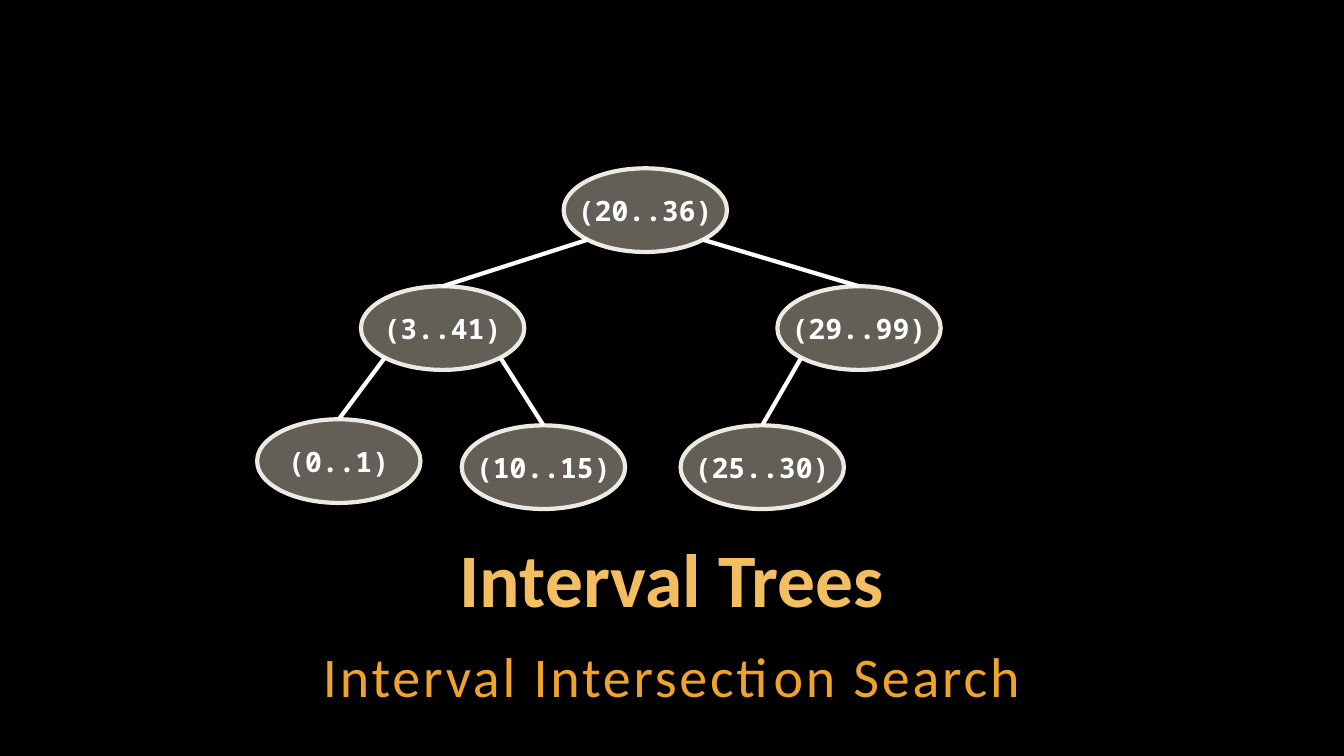
from dataclasses import dataclass
from math import sqrt

from lxml.etree import SubElement
from pptx import Presentation
from pptx.dml.color import RGBColor
from pptx.enum.shapes import MSO_CONNECTOR, MSO_SHAPE
from pptx.enum.text import MSO_ANCHOR, MSO_AUTO_SIZE, PP_ALIGN
from pptx.oxml.ns import qn
from pptx.util import Emu, Pt

EMU_PER_PX = 9144  # 100 px to the inch
NODE_WIDTH, NODE_HEIGHT = 162, 83
TOP_SITE = 0


@dataclass(frozen=True)
class Theme:
    background: RGBColor = RGBColor.from_string("000000")
    title: RGBColor = RGBColor.from_string("F3BE60")
    subtitle: RGBColor = RGBColor.from_string("F0A22E")
    node_fill: RGBColor = RGBColor.from_string("C7BFAC")
    node_line: RGBColor = RGBColor.from_string("ECEAE3")
    white: RGBColor = RGBColor.from_string("FFFFFF")
    node_opacity: int = 50
    heading_font: str = "Calibri"
    node_font: str = "Noto Sans Mono"
    title_size: int = 54
    subtitle_size: int = 40
    node_size: int = 20
    line_width: int = 3


THEME = Theme()

# Interval: left, top, parent interval, side of the parent (-1 left, 1 right)
NODES = {
    "(20..36)": (559, 167, None, 0),
    "(29..99)": (771, 284, "(20..36)", 1),
    "(3..41)": (358, 284, "(20..36)", -1),
    "(0..1)": (255, 416, "(3..41)", -1),
    "(10..15)": (458, 422, "(3..41)", 1),
    "(25..30)": (675, 422, "(29..99)", -1),
}


def px(length):
    return Emu(length * EMU_PER_PX)


def style_font(font, name, size, color, bold=False):
    font.name = name
    font.size = Pt(size)
    font.color.rgb = color
    font.bold = bold


def fill_placeholder(box, text, top, height, size, color, bold=False):
    box.left, box.top, box.width, box.height = map(px, (100, top, 1133, height))
    frame = box.text_frame
    frame.text = text
    frame.word_wrap = True
    frame.auto_size = MSO_AUTO_SIZE.NONE
    frame.margin_left = frame.margin_right = px(4)
    frame.margin_top = frame.margin_bottom = px(4)
    para = frame.paragraphs[0]
    para.alignment = PP_ALIGN.CENTER
    para.space_before = Pt(0)
    style_font(para.font, THEME.heading_font, size, color, bold)
    return frame


def add_headings(page):
    title = fill_placeholder(page.shapes.title, "Interval Trees", 533, 90,
                             THEME.title_size, THEME.title, bold=True)
    title.vertical_anchor = MSO_ANCHOR.BOTTOM
    title.paragraphs[0].line_spacing = 0.9

    subtitle = fill_placeholder(page.placeholders[1], "Interval Intersection Search",
                                629, 79, THEME.subtitle_size, THEME.subtitle)
    subtitle.vertical_anchor = MSO_ANCHOR.TOP
    para = subtitle.paragraphs[0]
    para.line_spacing = 1.05
    para.space_after = Pt(6)
    para.runs[0].font._element.set("spc", "200")


def add_node(page, interval, left, top):
    node = page.shapes.add_shape(MSO_SHAPE.OVAL, px(left), px(top),
                                 px(NODE_WIDTH), px(NODE_HEIGHT))
    node.shadow.inherit = False
    node.fill.solid()
    node.fill.fore_color.rgb = THEME.node_fill
    color = node._element.spPr.find(qn("a:solidFill"))[0]
    SubElement(color, qn("a:alpha"), val=str(THEME.node_opacity * 1000))
    node.line.color.rgb = THEME.node_line
    node.line.width = Pt(THEME.line_width)
    frame = node.text_frame
    frame.text = interval
    frame.word_wrap = False
    frame.vertical_anchor = MSO_ANCHOR.MIDDLE
    para = frame.paragraphs[0]
    para.alignment = PP_ALIGN.CENTER
    style_font(para.font, THEME.node_font, THEME.node_size, THEME.white, bold=True)
    return node


def add_edge(page, child, parent, side):
    """Join the child's top to the lower diagonal point of the parent's oval."""
    reach = 1 / sqrt(2)
    end_x = Emu(round(parent.left + parent.width / 2 * (1 + side * reach)))
    end_y = Emu(round(parent.top + parent.height / 2 * (1 + reach)))
    edge = page.shapes.add_connector(MSO_CONNECTOR.STRAIGHT,
                                     child.left, child.top, end_x, end_y)
    edge.begin_connect(child, TOP_SITE)
    edge.line.color.rgb = THEME.white
    edge.line.width = Pt(THEME.line_width)
    SubElement(edge._element.spPr, qn("a:effectLst"))


def add_tree(page):
    ovals = {interval: add_node(page, interval, left, top)
             for interval, (left, top, _, _) in NODES.items()}
    for interval, (_, _, parent, side) in NODES.items():
        if parent:
            add_edge(page, ovals[interval], ovals[parent], side)


def main():
    deck = Presentation()
    deck.slide_width, deck.slide_height = px(1333), px(750)
    page = deck.slides.add_slide(deck.slide_layouts[0])
    page.background.fill.solid()
    page.background.fill.fore_color.rgb = THEME.background
    add_headings(page)
    add_tree(page)
    deck.save("out.pptx")


if __name__ == "__main__":
    main()
